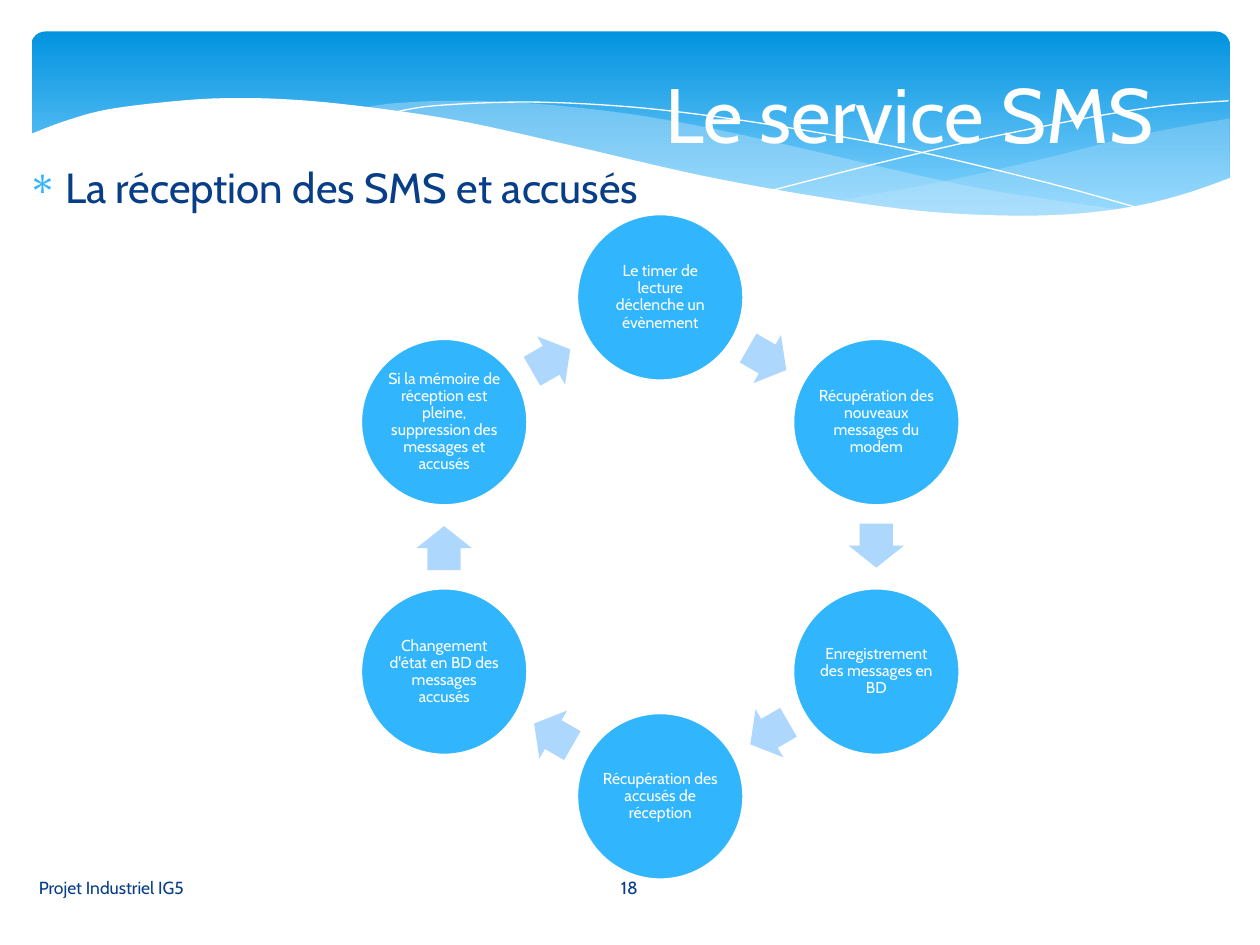
import math
from dataclasses import dataclass

import lxml.etree
import pptx
import pptx.dml.color
import pptx.enum.dml
import pptx.enum.shapes
import pptx.enum.text
import pptx.oxml.ns
import pptx.util

Inches = pptx.util.Inches
Align = pptx.enum.text.PP_ALIGN
Anchor = pptx.enum.text.MSO_ANCHOR
Preset = pptx.enum.shapes.MSO_SHAPE


@dataclass(frozen=True)
class Theme:
    font: str = "Cabin"
    white: str = "FFFFFF"
    navy: str = "073E87"
    accent: str = "31B6FD"
    arrow: str = "AED7FE"
    veil: str = "C6E7FC"
    banner_top: str = "0293E0"
    banner_bottom: str = "83D3FE"
    title_size: float = 44
    heading_size: float = 24
    footer_size: float = 10
    node_size: float = 9


def rgb(value):
    return pptx.dml.color.RGBColor.from_string(value)


def smooth(points, steps=6):
    """Points along a Catmull-Rom curve through the given points."""
    padded = [points[0], *points, points[-1]]
    curve = [points[0]]
    for a, b, c, d in zip(padded, padded[1:], padded[2:], padded[3:]):
        for step in range(1, steps + 1):
            t = step / steps
            curve.append(tuple(
                (2 * q + (r - p) * t + (2 * p - 5 * q + 4 * r - s) * t ** 2
                 + (3 * q - p - 3 * r + s) * t ** 3) / 2
                for p, q, r, s in zip(a, b, c, d)))
    return curve


class SlideBuilder:
    def __init__(self, deck, theme):
        self.theme = theme
        self.slide = deck.slides.add_slide(deck.slide_layouts[5])
        self.shapes = self.slide.shapes

    def fill_text(self, frame, text, size, color, align=Align.LEFT,
                  anchor=Anchor.MIDDLE, inset=None):
        frame.word_wrap = True
        frame.auto_size = pptx.enum.text.MSO_AUTO_SIZE.NONE
        frame.vertical_anchor = anchor
        if inset is not None:
            frame.margin_left = frame.margin_right = Inches(inset)
            frame.margin_top = frame.margin_bottom = Inches(inset)
        para = frame.paragraphs[0]
        para.alignment = align
        span = para.add_run()
        span.text = text
        span.font.name = self.theme.font
        span.font.size = pptx.util.Pt(size)
        span.font.color.rgb = rgb(color)
        return para

    def title(self, text, *place):
        box = self.shapes.title
        box.left, box.top, box.width, box.height = map(Inches, place)
        self.fill_text(box.text_frame, text, self.theme.title_size,
                       self.theme.white, Align.CENTER)
        # Bring the title in front of the banner
        box.element.getparent().append(box.element)

    def text(self, text, place, size, **style):
        box = self.shapes.add_textbox(*map(Inches, place))
        return self.fill_text(box.text_frame, text, size, self.theme.navy, **style)

    def bullet(self, para, mark, indent):
        properties = para._p.get_or_add_pPr()
        properties.set("marL", str(Inches(indent)))
        properties.set("indent", str(-Inches(indent)))
        qn = pptx.oxml.ns.qn
        color = lxml.etree.SubElement(properties, qn("a:buClr"))
        lxml.etree.SubElement(color, qn("a:srgbClr"), val=self.theme.accent)
        lxml.etree.SubElement(properties, qn("a:buChar"), char=mark)

    def preset(self, kind, place, color=None):
        shape = self.shapes.add_shape(kind, *map(Inches, place))
        shape.shadow.inherit = False
        shape.line.fill.background()
        if color:
            shape.fill.solid()
            shape.fill.fore_color.rgb = rgb(color)
        return shape

    def banner(self, *place):
        shape = self.preset(Preset.ROUNDED_RECTANGLE, place)
        shape.adjustments[0] = 0.07
        shape.fill.gradient()
        shape.fill.gradient_angle = 270
        stops = ((0, self.theme.banner_top), (0.9, self.theme.banner_bottom))
        for stop, (position, color) in zip(shape.fill.gradient_stops, stops):
            stop.position = position
            stop.color.rgb = rgb(color)

    def outline(self, points, close):
        points = [(Inches(x), Inches(y)) for x, y in points]
        builder = self.shapes.build_freeform(*points[0])
        builder.add_line_segments(points[1:], close=close)
        shape = builder.convert_to_shape()
        shape.shadow.inherit = False
        return shape

    def wave(self, edges, color, opacity=100):
        points = [point for edge in edges for point in smooth(edge)]
        shape = self.outline(points, True)
        shape.line.fill.background()
        shape.fill.solid()
        shape.fill.fore_color.rgb = rgb(color)
        if opacity < 100:
            qn = pptx.oxml.ns.qn
            fill = shape.element.spPr.find(qn("a:solidFill"))
            lxml.etree.SubElement(fill[0], qn("a:alpha"), val=str(opacity * 1000))

    def hairline(self, edge):
        shape = self.outline(smooth(edge), False)
        shape.fill.background()
        shape.line.color.rgb = rgb(self.theme.white)
        shape.line.width = 0

    def node(self, text, x, y, size):
        shape = self.preset(Preset.OVAL, (x - size / 2, y - size / 2, size, size),
                            self.theme.accent)
        shape.line.color.rgb = rgb(self.theme.white)
        shape.line.width = pptx.util.Pt(1.25)
        para = self.fill_text(shape.text_frame, text, self.theme.node_size,
                              self.theme.white, Align.CENTER, inset=0.01)
        para.line_spacing = 0.9

    def arrow(self, x, y, rotation, width=0.35, height=0.44):
        shape = self.preset(Preset.RIGHT_ARROW,
                            (x - width / 2, y - height / 2, width, height),
                            self.theme.arrow)
        shape.adjustments[0], shape.adjustments[1] = 0.6, 0.5
        shape.rotation = rotation

    def cycle(self, labels, x, y, radius, size, setback=0.01):
        turn = 2 * math.pi / len(labels)
        middle = radius * math.cos(turn / 2)
        for index, label in enumerate(labels):
            angle = index * turn
            self.node(label, x + radius * math.sin(angle),
                      y - radius * math.cos(angle), size)
            # Arrow halfway to the next node, set slightly back
            angle += turn / 2
            self.arrow(x + middle * math.sin(angle) - setback * math.cos(angle),
                       y - middle * math.cos(angle) - setback * math.sin(angle),
                       math.degrees(angle))


def main():
    deck = pptx.Presentation()
    deck.slide_width, deck.slide_height = Inches(10), Inches(7.5)
    theme = Theme()
    page = SlideBuilder(deck, theme)

    # Banner and its waves
    page.banner(0.25, 0.25, 9.51, 1.56)
    page.wave([
        [(9.76, 0.94), (9.35, 1.01), (8.91, 1.1), (8.32, 1.25), (7.53, 1.43), (6.61, 1.6)],
        [(6.61, 1.6), (7.05, 1.65), (7.57, 1.7), (8.14, 1.72), (8.63, 1.7),
         (9.05, 1.63), (9.42, 1.54), (9.76, 1.41)],
    ], theme.veil, 29)
    page.wave([
        [(8.93, 1.67), (8.37, 1.59), (7.75, 1.49), (7.06, 1.34), (6.29, 1.16),
         (5.55, 1), (4.89, 0.89), (4.2, 0.82), (3.61, 0.8), (3.13, 0.82), (2.86, 0.86)],
        [(2.86, 0.86), (3.42, 0.94), (4.04, 1.06), (4.91, 1.26), (5.66, 1.43),
         (6.34, 1.56), (6.95, 1.65), (7.48, 1.7), (8.07, 1.73), (8.57, 1.71), (8.93, 1.67)],
    ], theme.veil, 40)
    page.hairline([(3.09, 0.9), (3.44, 0.84), (4.16, 0.81), (4.89, 0.84), (5.56, 0.91),
                   (6.36, 1.03), (7.27, 1.2), (8.31, 1.45), (9.07, 1.66)])
    page.hairline([(6.13, 1.51), (6.95, 1.3), (7.76, 1.11), (8.66, 0.93),
                   (9.24, 0.84), (9.75, 0.8)])
    page.wave([
        [(9.77, 1.41), (9.4, 1.54), (8.99, 1.64), (8.5, 1.7), (7.93, 1.71), (7.26, 1.67),
         (6.48, 1.56), (5.55, 1.39), (4.47, 1.14), (3.65, 0.96), (2.92, 0.85),
         (2.3, 0.79), (1.77, 0.78), (1.32, 0.81), (0.85, 0.87), (0.52, 0.96), (0.23, 1.07)],
        [(0.23, 2.24), (9.77, 2.24)],
    ], theme.white)

    # Footer, heading and title
    page.text("Projet Industriel IG5", (0.21, 6.84, 4.14, 0.4), theme.footer_size)
    page.text("18", (4.36, 6.84, 1.27, 0.4), theme.footer_size, align=Align.CENTER)
    heading = page.text("La réception des SMS et accusés", (0.12, 1.23, 8.1, 3.77),
                        theme.heading_size, anchor=Anchor.TOP)
    page.bullet(heading, "∗", 0.3)
    page.title("Le service SMS", 2.72, 0.21, 9, 1.37)

    # Reception cycle, clockwise from the top
    page.cycle([
        "Le timer de lecture déclenche un évènement",
        "Récupération des nouveaux messages du modem",
        "Enregistrement des messages en BD",
        "Récupération des accusés de réception",
        "Changement d'état en BD des messages accusés",
        "Si la mémoire de réception est pleine, suppression des messages et accusés",
    ], x=5.24, y=4.34, radius=1.98, size=1.32)

    deck.save("out.pptx")


if __name__ == "__main__":
    main()
